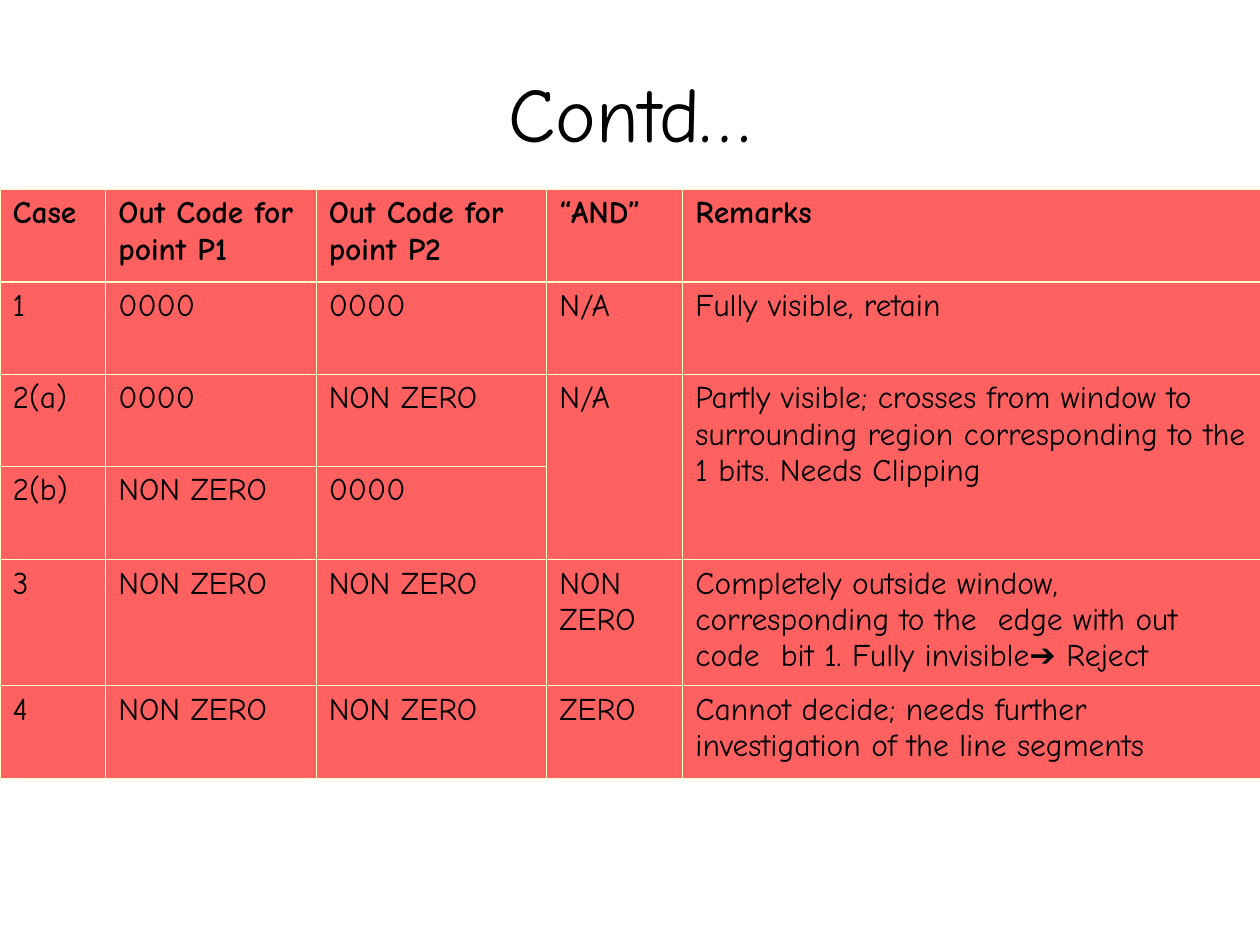
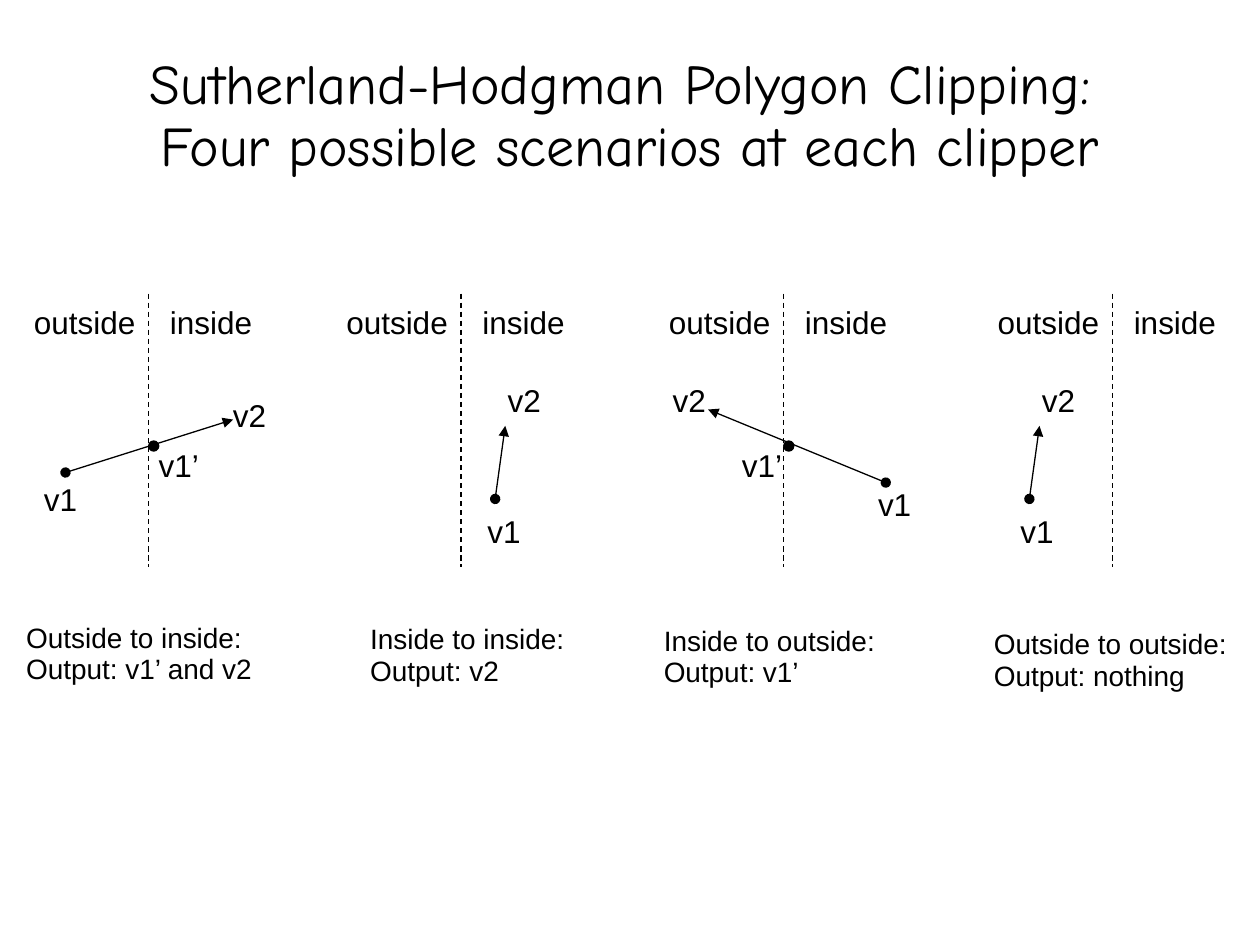
import pptx
import pptx.dml.color
import pptx.enum.dml
import pptx.enum.shapes
import pptx.enum.text
import pptx.util
from lxml import etree
from pptx.oxml import ns

Inches = pptx.util.Inches
Pt = pptx.util.Pt

BLACK, CORAL, CREAM = "000000", "FF6161", "FFFFCC"
DISPLAY_FONT, LABEL_FONT = "Comic Neue", "Arial"
LINE_SPACING = 0.93
THIN, THICK = 0.45, 1.5

COLUMN_WIDTHS = [0.84, 1.67, 1.83, 1.08, 4.58]
ROW_HEIGHTS = [0.74, 0.73, 0.73, 0.74, 1, 0.74]
OUT_CODE_ROWS = [
    ["Case", "Out Code for point P1", "Out Code for point P2", "“AND”", "Remarks"],
    ["1", "0000", "0000", "N/A", "Fully visible, retain"],
    ["2(a)", "0000", "NON ZERO", "N/A",
     "Partly visible; crosses from window to surrounding region "
     "corresponding to the 1 bits. Needs Clipping"],
    ["2(b)", "NON ZERO", "0000", "", ""],
    ["3", "NON ZERO", "NON ZERO", "NON ZERO",
     "Completely outside window, corresponding to the  edge with out code  bit 1. "
     "Fully invisible➔ Reject"],
    ["4", "NON ZERO", "NON ZERO", "ZERO",
     "Cannot decide; needs further investigation of the line segments"],
]
MERGED_COLUMNS = (3, 4)

# divider x, edge start, edge end, vertex labels, caption place and lines
SCENARIOS = [
    (1.18, (0.52, 3.75), (1.85, 3.33),
     {"v1": (0.25, 3.79), "v1’": (1.16, 3.52), "v2": (1.75, 3.12)},
     (0.11, 4.9, 2.03), ["Outside to inside:", "Output: v1’ and v2"]),
    (3.66, (3.93, 3.96), (4.01, 3.38),
     {"v1": (3.77, 4.04), "v2": (3.93, 3)},
     (2.84, 4.91, 1.77), ["Inside to inside:", "Output: v2"]),
    (6.22, (7.03, 3.83), (5.62, 3.25),
     {"v1": (6.87, 3.83), "v1’": (5.79, 3.52), "v2": (5.24, 3)},
     (5.17, 4.92, 1.9), ["Inside to outside:", "Output: v1’"]),
    (8.83, (8.17, 3.96), (8.25, 3.38),
     {"v1": (8, 4.04), "v2": (8.17, 3)},
     (7.79, 4.95, 2.08), ["Outside to outside:", "Output: nothing"]),
]


def color(hex_string):
    return pptx.dml.color.RGBColor.from_string(hex_string)


def add_element(parent, tag, **attributes):
    return etree.SubElement(parent, ns.qn(tag), attributes)


class Deck:
    """Holds the presentation, the current slide and the group being filled."""

    def __init__(self):
        self.presentation = pptx.Presentation()
        self.presentation.slide_width = Inches(10)
        self.presentation.slide_height = Inches(7.5)
        self.slide = None
        self.group = None

    def new_slide(self, title_lines, size):
        self.slide = self.presentation.slides.add_slide(self.presentation.slide_layouts[5])
        title = self.slide.shapes.title
        title.left, title.top = Inches(0.5), Inches(0.3)
        title.width, title.height = Inches(9), Inches(1.25)
        frame = title.text_frame
        frame.margin_left = frame.margin_right = frame.margin_top = frame.margin_bottom = 0
        frame.vertical_anchor = pptx.enum.text.MSO_ANCHOR.MIDDLE
        frame.word_wrap = True
        frame.auto_size = pptx.enum.text.MSO_AUTO_SIZE.NONE
        paragraph = frame.paragraphs[0]
        paragraph.alignment = pptx.enum.text.PP_ALIGN.CENTER
        paragraph.line_spacing = LINE_SPACING
        for index, line in enumerate(title_lines):
            if index:
                paragraph.add_line_break()
            self.run(paragraph, line, size, DISPLAY_FONT)

    def new_group(self):
        self.group = self.slide.shapes.add_group_shape()

    def run(self, paragraph, text, size, font_name, bold=False):
        run = paragraph.add_run()
        run.text = text
        run.font.size = Pt(size)
        run.font.name = font_name
        run.font.bold = bold
        run.font.color.rgb = color(BLACK)

    def label(self, left, top, width, lines, size=18, tab=None):
        height = 0.38 if len(lines) == 1 else 0.6
        box = self.group.shapes.add_textbox(
            Inches(left), Inches(top), Inches(width), Inches(height))
        frame = box.text_frame
        frame.word_wrap = False
        frame.auto_size = pptx.enum.text.MSO_AUTO_SIZE.SHAPE_TO_FIT_TEXT
        for index, line in enumerate(lines):
            paragraph = frame.add_paragraph() if index else frame.paragraphs[0]
            paragraph.line_spacing = LINE_SPACING
            if tab:
                stops = add_element(paragraph._p.get_or_add_pPr(), "a:tabLst")
                add_element(stops, "a:tab", pos=str(Inches(tab)), algn="l")
            self.run(paragraph, line, size, LABEL_FONT)

    def line(self, start, end, dashed=False, arrow=False):
        connector = self.group.shapes.add_connector(
            pptx.enum.shapes.MSO_CONNECTOR.STRAIGHT,
            *(Inches(value) for value in (*start, *end)))
        connector.line.color.rgb = color(BLACK)
        connector.line.width = Pt(0.75)
        if dashed:
            connector.line.dash_style = pptx.enum.dml.MSO_LINE.DASH
        if arrow:
            outline = connector.line._get_or_add_ln()
            add_element(outline, "a:headEnd", type="oval")
            add_element(outline, "a:tailEnd", type="triangle")
        add_element(connector._element.spPr, "a:effectLst")

    def dot(self, left, top, diameter=0.08):
        dot = self.group.shapes.add_shape(
            pptx.enum.shapes.MSO_SHAPE.OVAL,
            Inches(left), Inches(top), Inches(diameter), Inches(diameter))
        dot.shadow.inherit = False
        dot.fill.solid()
        dot.fill.fore_color.rgb = color(BLACK)
        dot.line.color.rgb = color(BLACK)
        dot.line.width = Pt(0.75)

    def table(self, left, top, column_widths, row_heights, rows):
        table = self.slide.shapes.add_table(
            len(rows), len(column_widths), Inches(left), Inches(top),
            Inches(sum(column_widths)), Inches(sum(row_heights))).table
        table.first_row = table.horz_banding = False
        for column, width in zip(table.columns, column_widths):
            column.width = Inches(width)
        for row, height in zip(table.rows, row_heights):
            row.height = Inches(height)
        for row_index, texts in enumerate(rows):
            for column_index, text in enumerate(texts):
                self.cell(table.cell(row_index, column_index), text, row_index)
        return table

    def cell(self, cell, text, row_index):
        top = THICK if row_index == 1 else THIN
        bottom = THICK if row_index == 0 else THIN
        properties = cell._tc.get_or_add_tcPr()
        for side, width in (("L", THIN), ("R", THIN), ("T", top), ("B", bottom)):
            border = add_element(properties, f"a:ln{side}", w=str(Pt(width)))
            fill = add_element(border, "a:solidFill")
            add_element(fill, "a:srgbClr", val=CREAM)
        cell.fill.solid()
        cell.fill.fore_color.rgb = color(CORAL)
        before, arrow, after = text.partition("➔")
        for part, font_name in ((before, DISPLAY_FONT), (arrow, LABEL_FONT),
                                (after, DISPLAY_FONT)):
            if part:
                self.run(cell.text_frame.paragraphs[0], part, 18, font_name,
                         bold=row_index == 0)


def build_out_code_slide(deck):
    deck.new_slide(["Contd…"], 44)
    table = deck.table(0, 1.5, COLUMN_WIDTHS, ROW_HEIGHTS, OUT_CODE_ROWS)
    for column_index in MERGED_COLUMNS:
        table.cell(2, column_index).merge(table.cell(3, column_index))


def build_scenarios_slide(deck):
    deck.new_slide(["Sutherland-Hodgman Polygon Clipping: ",
                    "Four possible scenarios at each clipper"], 32)
    for divider, start, end, vertices, caption_place, caption in SCENARIOS:
        deck.new_group()
        deck.line((divider, 2.33), (divider, 4.5), dashed=True)
        deck.label(divider - 1.01, 2.38, 1.96, ["outside\tinside"], tab=1.08)
        deck.line(start, end, arrow=True)
        for name, (left, top) in vertices.items():
            deck.label(left, top, 0.55 if name == "v1’" else 0.49, [name])
        if "v1’" in vertices:
            deck.dot(divider, 3.5)
        deck.label(*caption_place, caption, size=16)


def main():
    deck = Deck()
    build_out_code_slide(deck)
    build_scenarios_slide(deck)
    deck.presentation.save("out.pptx")


if __name__ == "__main__":
    main()
